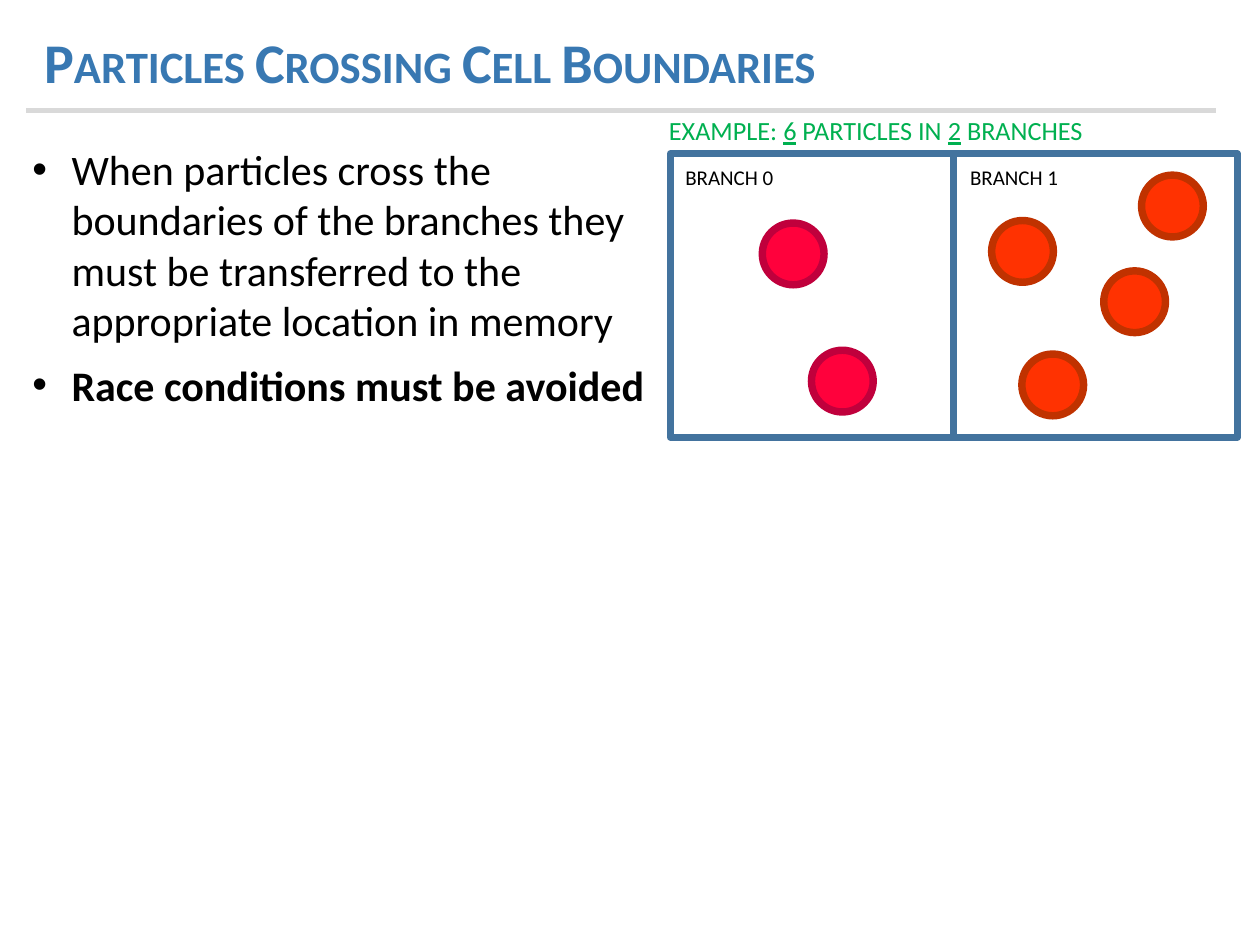
"""Build the slide on particles that cross cell boundaries."""
from lxml.etree import SubElement
from pptx import Presentation
from pptx.dml.color import RGBColor
from pptx.enum.shapes import MSO_CONNECTOR, MSO_SHAPE
from pptx.enum.text import MSO_ANCHOR, MSO_AUTO_SIZE, PP_ALIGN
from pptx.oxml.ns import qn
from pptx.util import Inches, Pt

BLUE = RGBColor(0x38, 0x78, 0xB2)
BORDER = RGBColor(0x43, 0x73, 0x9E)
GRAY = RGBColor(0xD9, 0xD9, 0xD9)
GREEN = RGBColor(0x00, 0xB0, 0x50)
BLACK = RGBColor(0, 0, 0)
PINK, PINK_EDGE = RGBColor(0xFF, 0x01, 0x3C), RGBColor(0xC0, 0x00, 0x3C)
RED, RED_EDGE = RGBColor(0xFF, 0x32, 0x01), RGBColor(0xC0, 0x32, 0x00)

TITLE = "Particles Crossing Cell Boundaries"
BULLETS = [
    ("When particles cross the boundaries of the branches they must be "
     "transferred to the appropriate location in memory", False),
    ("Race conditions must be avoided", True),
]
EXAMPLE = [("EXAMPLE: ", False), ("6", True), (" PARTICLES IN ", False),
           ("2", True), (" BRANCHES", False)]
BRANCHES = [
    ("BRANCH 0", 5.34, PINK, PINK_EDGE, [(6.05, 1.77), (6.44, 2.78)]),
    ("BRANCH 1", 7.6, RED, RED_EDGE,
     [(7.87, 1.75), (8.76, 2.15), (8.11, 2.81), (9.06, 1.39)]),
]
CELL_LEFT, CELL_TOP, CELL = 5.32, 1.22, 2.25
PARTICLE = 0.49


def add_run(p, text, size, color, bold=False, underline=False, small_caps=False):
    r = p.add_run()
    r.text = text
    r.font.name, r.font.size, r.font.bold = "Calibri", Pt(size), bold
    r.font.underline = underline
    r.font.color.rgb = color
    if small_caps:
        r.font._element.set("cap", "small")


def add_text_box(slide, box, wrap=True):
    tf = slide.shapes.add_textbox(*map(Inches, box)).text_frame
    tf.word_wrap = wrap
    return tf


def add_outline(slide, kind, left, top, size, line, width, fill=None):
    sp = slide.shapes.add_shape(kind, *map(Inches, (left, top, size, size)))
    sp.shadow.inherit = False
    if fill is None:
        sp.fill.background()
    else:
        sp.fill.solid()
        sp.fill.fore_color.rgb = fill
    sp.line.color.rgb, sp.line.width = line, Pt(width)


def add_bullet(p, indent):
    pPr = p._p.get_or_add_pPr()
    pPr.set("marL", str(Inches(indent)))
    pPr.set("indent", str(-Inches(indent)))
    SubElement(pPr, qn("a:buFont"), typeface="Arial")
    SubElement(pPr, qn("a:buChar"), char="•")


def add_header(slide):
    sp = slide.shapes.title
    sp.left, sp.top, sp.width, sp.height = map(Inches, (0.25, 0.17, 9.51, 0.64))
    tf = sp.text_frame
    tf.auto_size, tf.vertical_anchor = MSO_AUTO_SIZE.NONE, MSO_ANCHOR.TOP
    tf.paragraphs[0].alignment = PP_ALIGN.LEFT
    add_run(tf.paragraphs[0], TITLE, 32, BLUE, bold=True, small_caps=True)
    rule = slide.shapes.add_connector(
        MSO_CONNECTOR.STRAIGHT, *map(Inches, (0.21, 0.88, 9.65, 0.88)))
    rule.line.color.rgb, rule.line.width = GRAY, Pt(2.75)
    SubElement(rule._element.spPr, qn("a:effectLst"))


def add_bullets(slide):
    tf = add_text_box(slide, (0.16, 1.09, 5.1, 2.75))
    for i, (text, bold) in enumerate(BULLETS):
        p = tf.add_paragraph() if i else tf.paragraphs[0]
        add_bullet(p, 0.31)
        p.space_after = Pt(8)
        add_run(p, text, 24, BLACK, bold=bold)


def add_branches(slide):
    for i, (name, label_left, fill, edge, particles) in enumerate(BRANCHES):
        add_outline(slide, MSO_SHAPE.RECTANGLE, CELL_LEFT + i * CELL, CELL_TOP,
                    CELL, BORDER, 4)
        tf = add_text_box(slide, (label_left, 1.26, 0.98, 0.3), wrap=False)
        add_run(tf.paragraphs[0], name, 12, BLACK)
        for left, top in particles:
            add_outline(slide, MSO_SHAPE.OVAL, left, top, PARTICLE, edge, 4.25, fill)
    tf = add_text_box(slide, (5.21, 0.86, 3.51, 0.35), wrap=False)
    for text, underline in EXAMPLE:
        add_run(tf.paragraphs[0], text, 15, GREEN, underline=underline)


def main():
    prs = Presentation()
    prs.slide_width, prs.slide_height = Inches(10), Inches(7.5)
    slide = prs.slides.add_slide(prs.slide_layouts[5])
    add_header(slide)
    add_bullets(slide)
    add_branches(slide)
    prs.save("out.pptx")


if __name__ == "__main__":
    main()
